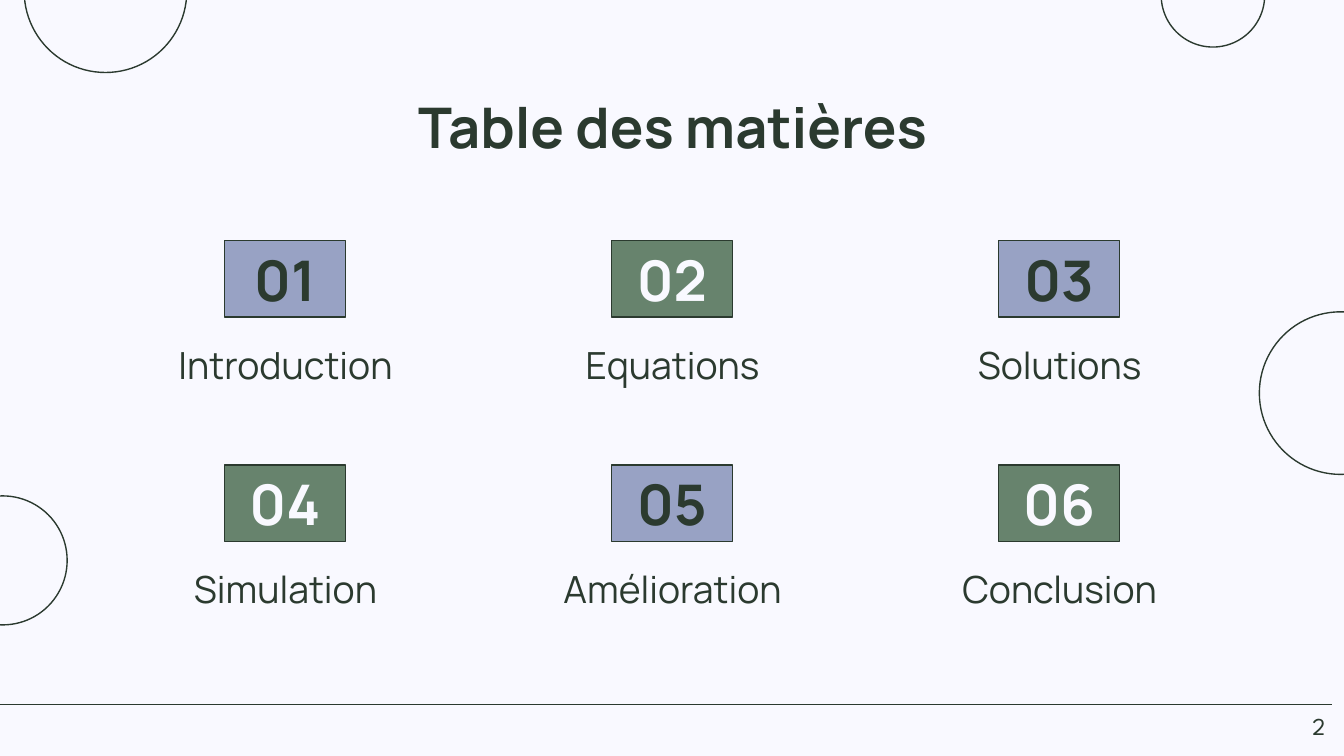
from dataclasses import dataclass

from lxml.etree import SubElement
from pptx import Presentation
from pptx.dml.color import RGBColor as Rgb
from pptx.enum.shapes import MSO_CONNECTOR as Link, MSO_SHAPE as Shape
from pptx.enum.text import MSO_ANCHOR as Anchor, PP_ALIGN as Align
from pptx.oxml.ns import qn
from pptx.util import Inches, Pt


@dataclass(frozen=True)
class Theme:
    paper: Rgb = Rgb.from_string("F9F9FF")
    ink: Rgb = Rgb.from_string("2B3A2F")
    blue: Rgb = Rgb.from_string("98A2C4")
    green: Rgb = Rgb.from_string("67836D")
    font: str = "Manrope"
    page_font: str = "League Spartan"
    head: int = 30
    label: int = 20
    page: int = 13
    rule: float = 0.75


THEME = Theme()
TOPICS = ["Introduction", "Equations", "Solutions",
          "Simulation", "Amélioration", "Conclusion"]
CIRCLES = [(0.18, -0.67, 1.21), (8.64, -0.42, 0.77),
           (-0.46, 3.69, 0.96), (9.37, 2.32, 1.21)]
COLS = 3
COL_GAP, ROW_GAP = 2.88, 1.67


def write(shape, text, size, color=THEME.ink, bold=False, font=THEME.font,
          align=Align.CENTER, anchor=Anchor.TOP):
    frame = shape.text_frame
    frame.word_wrap = True
    frame.vertical_anchor = anchor
    frame.margin_left = frame.margin_right = Inches(0.1)
    frame.margin_top = frame.margin_bottom = Inches(0.1)
    para = frame.paragraphs[0]
    para.alignment = align
    run = para.add_run()
    run.text = text
    run.font.name = font
    run.font.size = Pt(size)
    run.font.bold = bold
    run.font.color.rgb = color


def add_text(slide, box, text, size, **style):
    shape = slide.shapes.add_textbox(*map(Inches, box))
    write(shape, text, size, **style)


def add_form(slide, kind, box, fill=None):
    """Add an outlined shape, hollow when no fill is given."""
    shape = slide.shapes.add_shape(kind, *map(Inches, box))
    shape.shadow.inherit = False
    if fill is None:
        shape.fill.background()
    else:
        shape.fill.solid()
        shape.fill.fore_color.rgb = fill
    shape.line.color.rgb = THEME.ink
    shape.line.width = Pt(THEME.rule)
    return shape


def add_rule(slide, left, right, top):
    line = slide.shapes.add_connector(
        Link.STRAIGHT, Inches(left), Inches(top), Inches(right), Inches(top))
    line.line.color.rgb = THEME.ink
    line.line.width = Pt(THEME.rule)
    SubElement(line._element.spPr, qn("a:effectLst"))


def add_topic(slide, index, name):
    """Add a numbered tile and its label; tile colours alternate."""
    row, col = divmod(index, COLS)
    x, y = col * COL_GAP, row * ROW_GAP
    odd = index % 2
    tile = add_form(slide, Shape.RECTANGLE, (1.67 + x, 1.79 + y, 0.9, 0.57),
                    THEME.green if odd else THEME.blue)
    write(tile, f"{index + 1:02}", THEME.head, bold=True,
          color=THEME.paper if odd else THEME.ink, anchor=Anchor.MIDDLE)
    add_text(slide, (1.04 + x, 2.48 + y, 2.17, 0.5), name, THEME.label,
             anchor=Anchor.BOTTOM)


def main():
    deck = Presentation()
    deck.slide_width = Inches(10)
    deck.slide_height = deck.slide_width * 9 // 16
    slide = deck.slides.add_slide(deck.slide_layouts[6])
    back = slide.background.fill
    back.solid()
    back.fore_color.rgb = THEME.paper

    add_rule(slide, -0.13, 9.91, 5.24)
    for left, top, size in CIRCLES:
        add_form(slide, Shape.OVAL, (left, top, size, size))
    add_text(slide, (0.79, 0.59, 8.43, 0.63), "Table des matières",
             THEME.head, bold=True)
    for index, name in enumerate(TOPICS):
        add_topic(slide, index, name)
    add_text(slide, (9.36, 5.19, 0.6, 0.43), "2", THEME.page,
             font=THEME.page_font, align=Align.RIGHT)
    deck.save("out.pptx")


if __name__ == "__main__":
    main()
